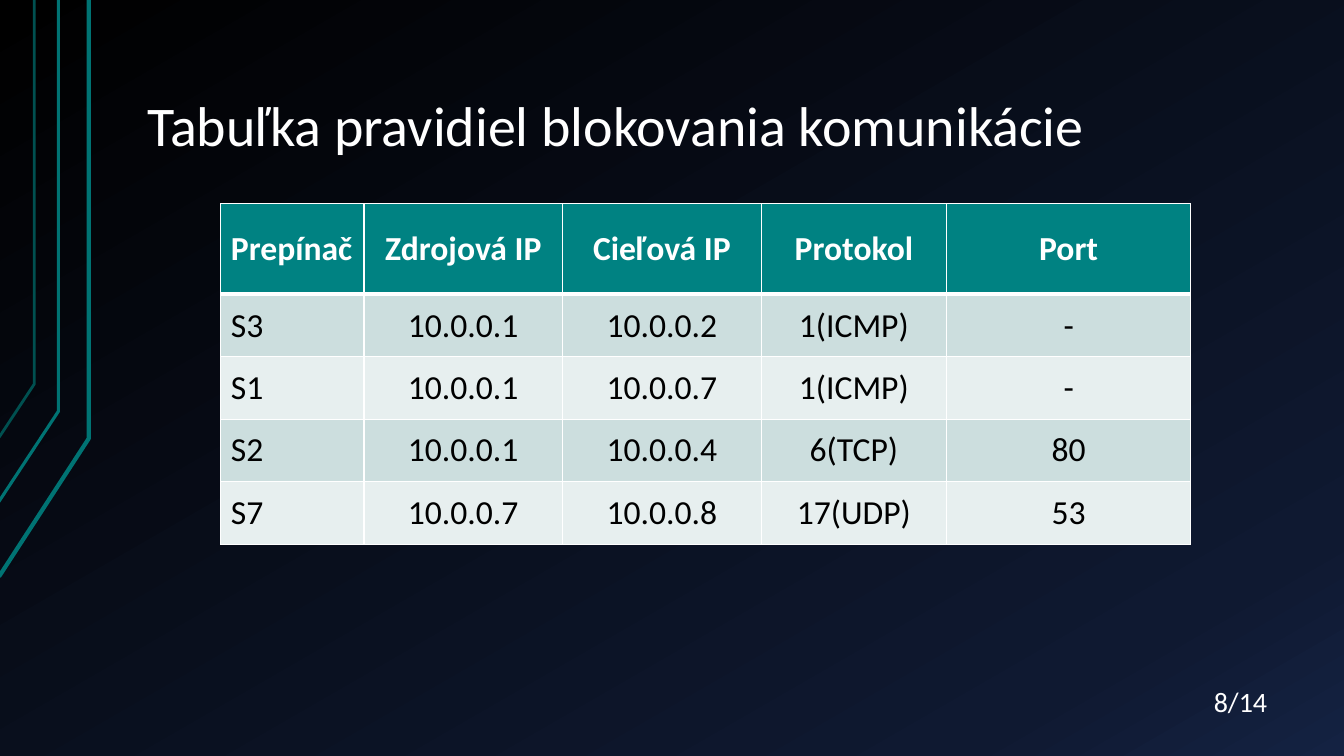
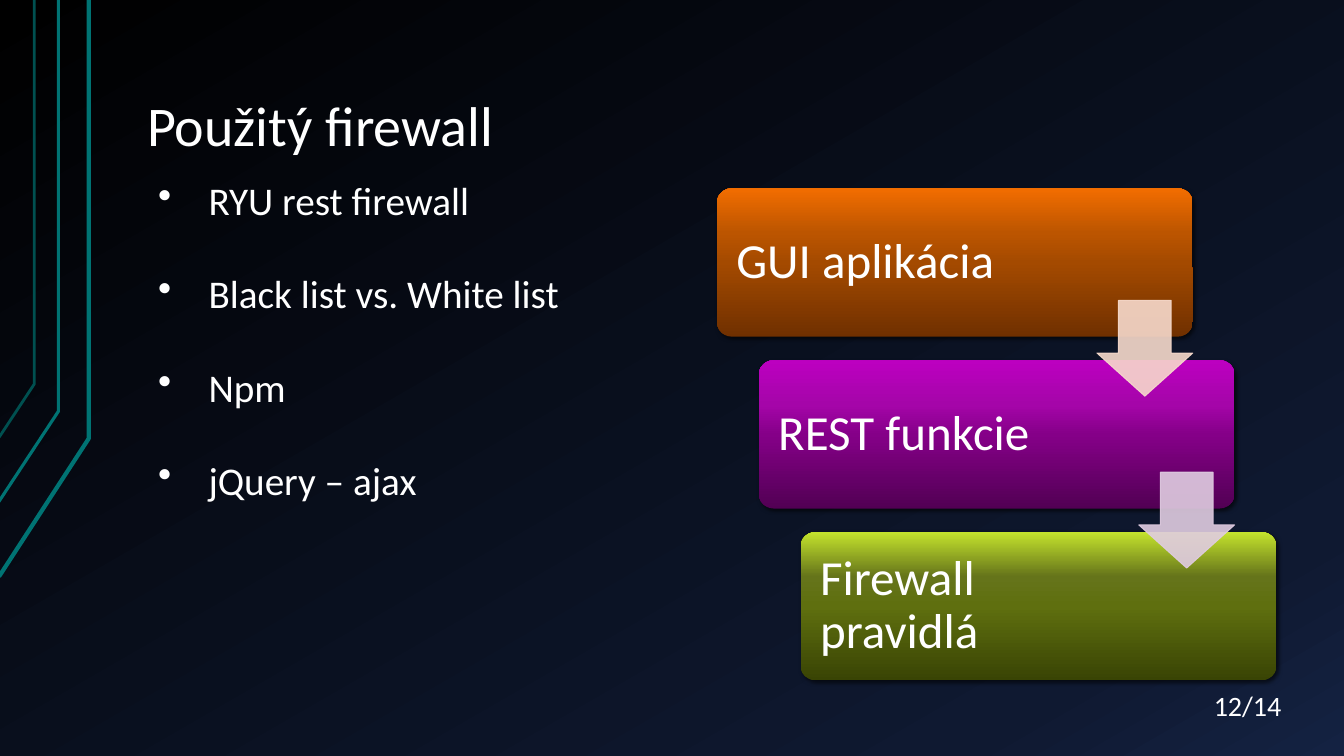
from pptx import Presentation
from pptx import util as u
from pptx.dml.color import RGBColor
from pptx.enum import shapes, text
from pptx.oxml import parse_xml
from pptx.oxml.ns import nsdecls, qn

INK = {"white": "FFFFFF", "black": "000000", "teal": "007373", "dim": "005050",
       "head": "008282", "odd": "CCDEDE", "even": "E7EFEF",
       "peach": "F7DACC", "lilac": "E0CCE1"}
NIGHT = [(0, "000000"), (85, "0F1931"), (100, "142242")]
STEPS = [("GUI aplikácia", [(0, "703000"), (50, "A44A00"), (70, "BC5500"), (100, "F26D00")]),
         ("REST funkcie", [(0, "520054"), (50, "850088"), (70, "A505A9"), (100, "BC00C0")]),
         ("Firewall pravidlá", [(0, "394404"), (50, "5F6F0F"), (70, "65741A"), (100, "C4E32D")])]
RAILS = [([(-0.01, 5.72), (0.88, 4.35), (0.88, 0)], 3, "teal"),
         ([(-0.02, 4.99), (0.58, 4.08), (0.58, 0)], 2.25, "teal"),
         ([(-0.01, 4.34), (0.34, 3.81), (0.34, 0)], 2, "dim")]
RULES = [["Prepínač", "Zdrojová IP", "Cieľová IP", "Protokol", "Port"],
         ["S3", "10.0.0.1", "10.0.0.2", "1(ICMP)", "-"],
         ["S1", "10.0.0.1", "10.0.0.7", "1(ICMP)", "-"],
         ["S2", "10.0.0.1", "10.0.0.4", "6(TCP)", "80"],
         ["S7", "10.0.0.7", "10.0.0.8", "17(UDP)", "53"]]
COLS = [1.42, 1.97, 1.97, 1.84, 2.42]
POINTS = ["RYU rest firewall", "Black list vs. White list", "Npm", "jQuery – ajax"]
MID, LOW = text.MSO_ANCHOR.MIDDLE, text.MSO_ANCHOR.BOTTOM
LEFT, MIDDLE = text.PP_ALIGN.LEFT, text.PP_ALIGN.CENTER


def rgb(name):
    """Return the named colour."""
    return RGBColor.from_string(INK[name])


def put(item, **vals):
    """Set each given attribute on an object."""
    for key, val in vals.items():
        setattr(item, key, val)


def node(tag, body=""):
    """Make a drawing element from its tag, attributes and content."""
    return parse_xml(f"<a:{tag} {nsdecls('a')}>{body}</a:{tag.split()[0]}>")


def ramp(fill, root, stops, angle):
    """Fill with a gradient of many stops at an anticlockwise angle."""
    fill.gradient()
    fill.gradient_angle = angle
    found = next(root.iter(qn("a:gsLst")))
    for old in list(found):
        found.remove(old)
    for pos, tint in stops:
        found.append(node(f'gs pos="{pos * 1000}"', f'<a:srgbClr val="{tint}"/>'))


def write(par, words, size, ink="white", bold=False, **vals):
    """Write one paragraph in the shared font."""
    put(par, text=words, **vals)
    put(par.font, name="Calibri", size=u.Pt(size), bold=bold)
    par.font.color.rgb = rgb(ink)


def label(slide, box, words, size, frame=None, **vals):
    """Add a text box holding one paragraph."""
    body = slide.shapes.add_textbox(*map(u.Inches, box)).text_frame
    put(body, word_wrap=True, **(frame or {}))
    write(body.paragraphs[0], words, size, **vals)


def rail(slide, dots, width, ink):
    """Draw one bent line on the left edge."""
    dots = [(u.Inches(x), u.Inches(y)) for x, y in dots]
    pen = slide.shapes.build_freeform(*dots[0], scale=1.0)
    pen.add_line_segments(dots[1:], close=False)
    line = pen.convert_to_shape()
    line.fill.background()
    line.shadow.inherit = False
    line.line.width = u.Pt(width)
    line.line.color.rgb = rgb(ink)


def base(deck, title, page, top):
    """Add a slide with its rails, title and page number."""
    slide = deck.slides.add_slide(deck.slide_layouts[6])
    for dots, width, ink in RAILS:
        rail(slide, dots, width, ink)
    pad, rim = u.Inches(0.13), u.Inches(0.07)
    frame = dict(vertical_anchor=LOW, margin_left=pad, margin_right=pad,
                 margin_top=rim, margin_bottom=rim)
    label(slide, (1.33, 0.3, 11.33, 1.34), title, 40, frame, line_spacing=0.9)
    label(slide, (11.94, top, 1.26, 0.44), f"{page}/14", 20)
    return slide


def edge(cell, row):
    """Give a cell white borders, heavier under the header."""
    wide = {"L": 1, "R": 1, "T": 3 if row == 1 else 1, "B": 1 if row else 3}
    props = cell._tc.get_or_add_tcPr()
    for spot, (side, width) in enumerate(wide.items()):
        paint = f'<a:solidFill><a:srgbClr val="{INK["white"]}"/></a:solidFill>'
        props.insert(spot, node(f'ln{side} w="{u.Pt(width)}"', paint))


def grid(slide, box):
    """Add the table of blocking rules."""
    table = slide.shapes.add_table(len(RULES), len(COLS), *map(u.Inches, box)).table
    for col, width in zip(table.columns, COLS):
        col.width = u.Inches(width)
    for r, row in enumerate(RULES):
        table.rows[r].height = u.Inches(0.62 if r else 0.9)
        tint = ("odd" if r % 2 else "even") if r else "head"
        for c, words in enumerate(row):
            cell = table.cell(r, c)
            cell.vertical_anchor = MID
            cell.fill.solid()
            cell.fill.fore_color.rgb = rgb(tint)
            edge(cell, r)
            write(cell.text_frame.paragraphs[0], words, 24, "black" if r else "white",
                  not r, alignment=MIDDLE if c else LEFT)


def bullets(slide, box):
    """Add the bulleted list."""
    body = slide.shapes.add_textbox(*map(u.Inches, box)).text_frame
    body.word_wrap = True
    for n, words in enumerate(POINTS):
        par = body.add_paragraph() if n else body.paragraphs[0]
        props = par._p.get_or_add_pPr()
        props.set("marL", str(u.Inches(0.5)))
        props.set("indent", str(u.Inches(-0.5)))
        props.append(node('buChar char="•"'))
        write(par, words, 28, space_before=u.Pt(33 if n else 0))


def step(slide, box, words, stops):
    """Add one rounded step with its gradient and shadow."""
    card = slide.shapes.add_shape(shapes.MSO_SHAPE.ROUNDED_RECTANGLE, *map(u.Inches, box))
    card.adjustments[0] = 0.1
    ramp(card.fill, card._element, stops, 90)
    card.line.fill.background()
    card.shadow.inherit = False
    glow = f'outerShdw blurRad="{u.Pt(3)}" dist="{u.Pt(2)}" dir="2700000" rotWithShape="0"'
    shade = f'<a:srgbClr val="{INK["black"]}"><a:alpha val="60000"/></a:srgbClr>'
    card._element.spPr.find(qn("a:effectLst")).append(node(glow, shade))
    pad = u.Inches(0.15)
    put(card.text_frame, word_wrap=True, vertical_anchor=MID, margin_left=pad,
        margin_right=u.Inches(1.52), margin_top=pad, margin_bottom=pad)
    write(card.text_frame.paragraphs[0], words, 35, alignment=LEFT, line_spacing=0.9)


def arrow(slide, box, ink):
    """Add one pale, slightly clear down arrow."""
    mark = slide.shapes.add_shape(shapes.MSO_SHAPE.DOWN_ARROW, *map(u.Inches, box))
    mark.adjustments[0], mark.adjustments[1] = 0.55, 0.45
    mark.shadow.inherit = False
    mark.line.width = u.Pt(0.75)
    for fill in (mark.fill, mark.line.fill):
        fill.solid()
        fill.fore_color.rgb = rgb(ink)
    for tint in mark._element.spPr.iter(qn("a:srgbClr")):
        tint.append(node('alpha val="90000"'))


def stairs(slide, box):
    """Add the steps going down to the right, with arrows between."""
    left, top, width, height = box
    dx, dy = 0.415, 1.705
    for n, (words, stops) in enumerate(STEPS):
        step(slide, (left + n * dx, top + n * dy, width, height), words, stops)
    size = 0.95
    for n, ink in enumerate(("peach", "lilac")):
        spot = (left + width - size + n * dx, top + 1.11 + n * dy, size, size)
        arrow(slide, spot, ink)


def main():
    """Build and save the deck."""
    deck = Presentation()
    put(deck, slide_width=u.Inches(13.33), slide_height=u.Inches(7.5))
    master = deck.slide_master
    ramp(master.background.fill, master.element, NIGHT, 300)
    grid(base(deck, "Tabuľka pravidiel blokovania komunikácie", 8, 6.74),
         (2.19, 2.02, 9.62, 3.36))
    wall = base(deck, "Použitý firewall", 12, 6.78)
    bullets(wall, (1.47, 1.7, 4.33, 5.28))
    stairs(wall, (7.11, 1.87, 4.72, 1.47))
    deck.save("out.pptx")


if __name__ == "__main__":
    main()
